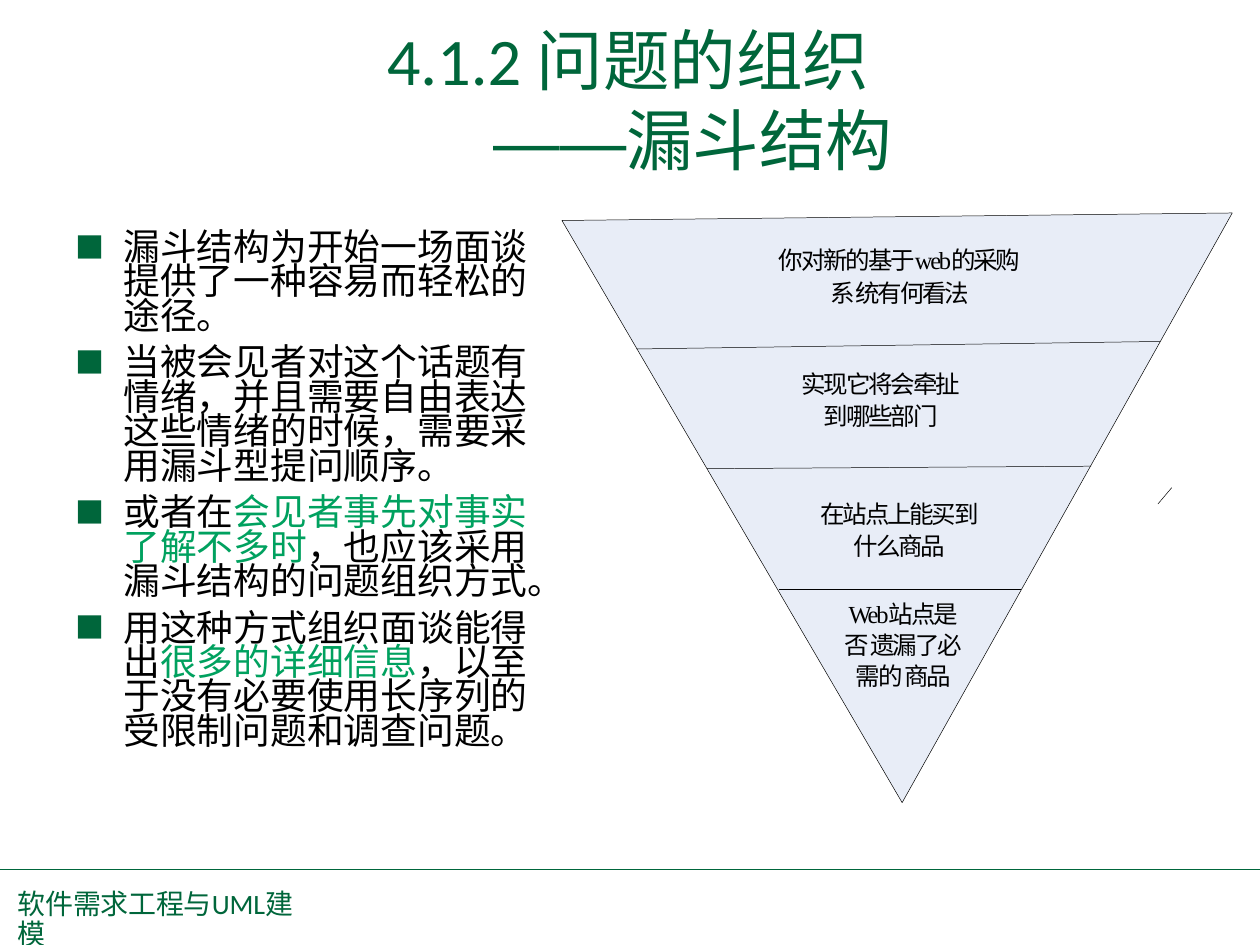
from pptx import Presentation
from pptx.util import Inches, Pt
from pptx.dml.color import RGBColor
from pptx.enum.shapes import MSO_CONNECTOR as Conn
from pptx.enum.text import PP_ALIGN as Align
from pptx.oxml.ns import qn
from lxml.etree import SubElement as Sub

GREEN = RGBColor(0x00, 0x66, 0x3B)
LIGHT = RGBColor(0x00, 0xA1, 0x5F)
BLACK = RGBColor(0, 0, 0)
PALE = RGBColor(0xE8, 0xED, 0xF7)
HAN = "Noto Sans CJK SC"

POINTS = [
    ["漏斗结构为开始一场面谈", "提供了一种容易而轻松的", "途径。"],
    ["当被会见者对这个话题有", "情绪，并且需要自由表达", "这些情绪的时候，需要采", "用漏斗型提问顺序。"],
    ["或者在*会见者事先对事实", "了解不多时*，也应该采用", "漏斗结构的问题组织方式。"],
    ["用这种方式组织面谈能得", "出*很多的详细信息*，以至", "于没有必要使用长序列的", "受限制问题和调查问题。"],
]
LEVELS = [
    (7.14, 1.92, 1.11, -1.3, ["你对新的基于web的采购", "系 统有何看法"]),
    (6.99, 2.91, 1.09, -1.3, ["实现它将会牵扯", "到哪些部门"]),
    (7.14, 3.94, 1.09, -1.3, ["在站点上能买到", "什么商品"]),
    (7.17, 4.74, 1.06, -1.2, ["Web站点是", "否 遗漏了必", "需的 商品"]),
]
FUNNEL = [(4.46, 1.75), (7.16, 6.37), (9.78, 1.69)]
RULES = [
    (0, 6.9, 10, 6.9, GREEN, 1),
    (5.05, 2.77, 9.21, 2.71, BLACK, 0.28),
    (5.61, 3.72, 8.66, 3.7, BLACK, 0.28),
    (6.18, 4.68, 8.1, 4.68, BLACK, 0.28),
    (9.3, 3.87, 9.19, 4, BLACK, 0.28),
]
TITLE = {"size": 38, "color": GREEN, "latin": "Calibri"}
BODY = {"size": 21, "color": BLACK, "latin": HAN}
LABEL = {"size": 14, "color": BLACK, "latin": "Times New Roman"}
FOOT = {"size": 16, "color": GREEN, "latin": "Calibri", "track": -0.1}

deck = Presentation()
deck.slide_width, deck.slide_height = Inches(10), Inches(7.5)
slide = deck.slides.add_slide(deck.slide_layouts[6])
shapes = slide.shapes


def add_box(x, y, w, h):
    frame = shapes.add_textbox(*map(Inches, (x, y, w, h))).text_frame
    frame.word_wrap = True
    for side in ("left", "top", "right", "bottom"):
        setattr(frame, "margin_" + side, 0)
    return frame


def format_par(par, **look):
    for key, value in look.items():
        setattr(par, key, value)


def add_run(par, text, size, color, latin, east=HAN, track=0):
    run = par.add_run()
    run.text = text
    for key, value in {"size": Pt(size), "name": latin}.items():
        setattr(run.font, key, value)
    run.font.color.rgb = color
    props = run.font._element
    Sub(props, qn("a:ea")).set("typeface", east)
    if track:
        props.set("spc", str(round(track * 100)))


def add_lines(par, lines, look):
    accent = False
    for row, line in enumerate(lines):
        if row:
            par.add_line_break()
        for part, text in enumerate(line.split("*")):
            if part:
                accent = not accent
            if text:
                add_run(par, text, **{**look, "color": LIGHT if accent else look["color"]})


def add_bullet(par):
    props = par._p.get_or_add_pPr()
    props.set("marL", str(Inches(0.39)))
    props.set("indent", str(Inches(-0.38)))
    Sub(Sub(props, qn("a:buClr")), qn("a:srgbClr")).set("val", str(GREEN))
    Sub(props, qn("a:buSzPct")).set("val", "79000")
    Sub(props, qn("a:buFont")).set("typeface", HAN)
    Sub(props, qn("a:buChar")).set("char", "■")


def add_rule(x1, y1, x2, y2, color, width):
    rule = shapes.add_connector(Conn.STRAIGHT, *map(Inches, (x1, y1, x2, y2)))
    rule.line.color.rgb = color
    rule.line.width = Pt(width)
    Sub(rule._element.spPr, qn("a:effectLst"))


head = add_box(3.07, 0.15, 4.03, 1.24)
add_run(head.paragraphs[0], "4.1.2 问题的组织", **TITLE)
sub = head.add_paragraph()
format_par(sub, alignment=Align.CENTER)
sub._p.get_or_add_pPr().set("marL", str(Inches(0.83)))
add_run(sub, "——", **{**TITLE, "latin": "Arial", "east": "Arial"})
add_run(sub, "漏斗结构", **TITLE)

body = add_box(0.59, 1.85, 3.9, 4.1)
for num, lines in enumerate(POINTS):
    par = body.add_paragraph() if num else body.paragraphs[0]
    format_par(par, line_spacing=0.78, space_before=Pt(7 if num else 0))
    add_bullet(par)
    add_lines(par, lines, BODY)

(x, y), *rest = [tuple(map(Inches, spot)) for spot in FUNNEL]
outline = shapes.build_freeform(x, y)
outline.add_line_segments(rest, close=True)
funnel = outline.convert_to_shape()
funnel.shadow.inherit = False
funnel.fill.solid()
funnel.fill.fore_color.rgb = PALE
funnel.line.color.rgb = BLACK
funnel.line.width = Pt(0.27)

for rule in RULES:
    add_rule(*rule)

for mid, top, gap, track, lines in LEVELS:
    par = add_box(mid - 1.1, top, 2.2, 0.25 * len(lines)).paragraphs[0]
    format_par(par, alignment=Align.CENTER, line_spacing=gap)
    add_lines(par, lines, {**LABEL, "track": track})

foot = add_box(0.14, 7.07, 2.45, 0.47).paragraphs[0]
format_par(foot, line_spacing=Pt(17))
add_lines(foot, ["软件需求工程与UML建", "模"], FOOT)

deck.save("out.pptx")
